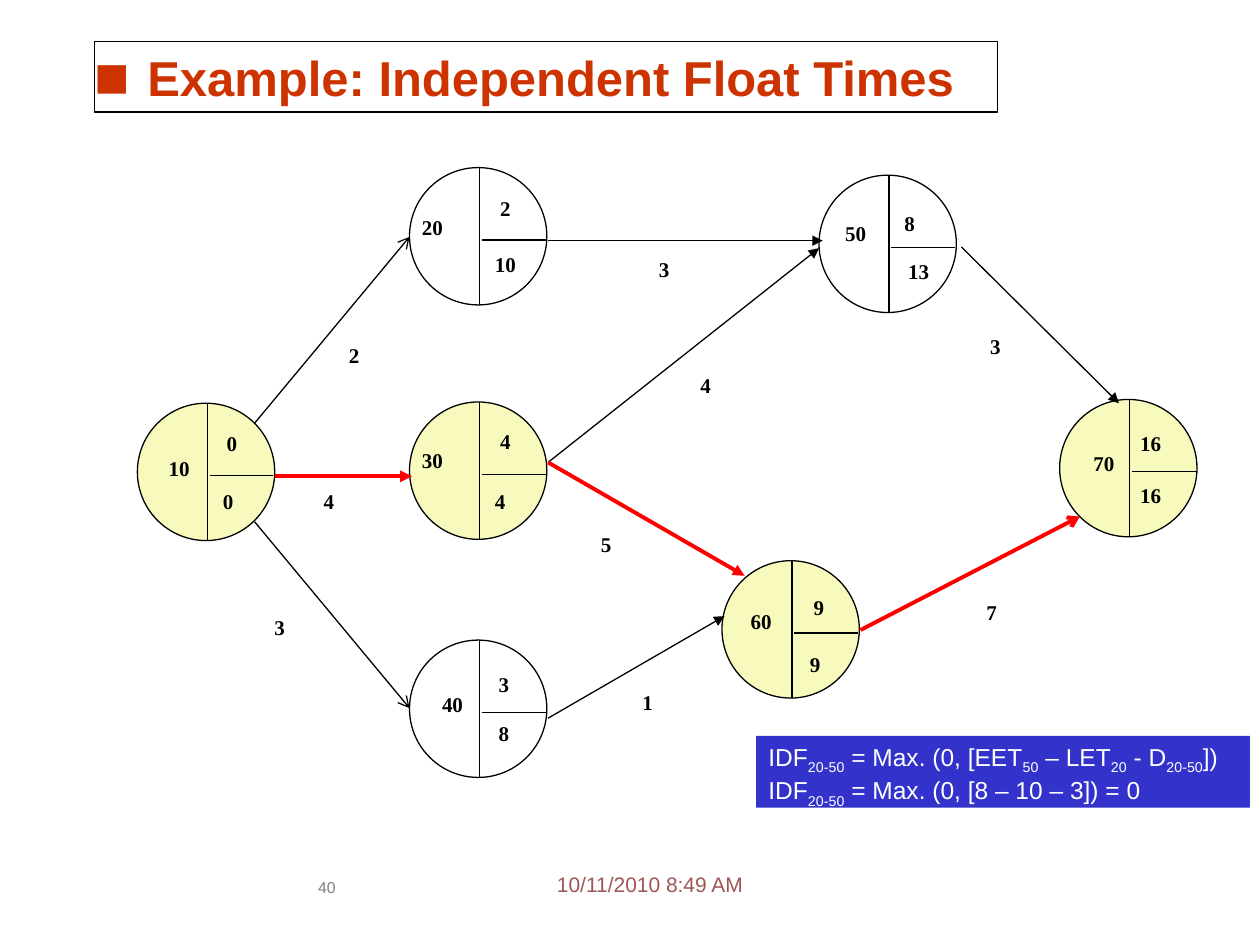
from lxml.etree import SubElement
from pptx import Presentation
from pptx.dml.color import RGBColor
from pptx.enum.shapes import MSO_CONNECTOR, MSO_SHAPE
from pptx.enum.text import MSO_ANCHOR, PP_ALIGN
from pptx.oxml.ns import qn
from pptx.util import Inches, Pt

COLORS = {
    "black": "000000",
    "white": "FFFFFF",
    "critical_fill": "F8F9BD",
    "critical_line": "FF0000",
    "title": "CC3300",
    "formula": "3333CC",
    "date": "9F5555",
    "number": "808080",
}
DIAMETER = 1.09

presentation = Presentation()
presentation.slide_width = Inches(10)
presentation.slide_height = Inches(7.5)
slide = presentation.slides.add_slide(presentation.slide_layouts[6])


def add_box(box, text, size, color, font="Arial", bold=False, fill=None,
            line=None, margins=(0, 0), align=PP_ALIGN.LEFT, kind=MSO_SHAPE.RECTANGLE):
    bounds = [Inches(length) for length in box]
    if fill:
        shape = slide.shapes.add_shape(kind, *bounds)
        shape.shadow.inherit = False
        shape.fill.solid()
        shape.fill.fore_color.rgb = RGBColor.from_string(COLORS[fill])
        if line:
            shape.line.color.rgb = RGBColor.from_string(COLORS[line])
            shape.line.width = Pt(0.75)
        else:
            shape.line.fill.background()
    else:
        shape = slide.shapes.add_textbox(*bounds)
    frame = shape.text_frame
    frame.word_wrap = True
    frame.vertical_anchor = MSO_ANCHOR.TOP
    frame.margin_left = frame.margin_right = Inches(margins[0])
    frame.margin_top = frame.margin_bottom = Inches(margins[1])
    if text:
        paragraph = frame.paragraphs[0]
        paragraph.text = text
        paragraph.alignment = align
        paragraph.font.name = font
        paragraph.font.size = Pt(size)
        paragraph.font.bold = bold
        paragraph.font.color.rgb = RGBColor.from_string(COLORS[color])
    return shape


def add_line(start, end, color="black", width=0.75, head=None):
    connector = slide.shapes.add_connector(
        MSO_CONNECTOR.STRAIGHT, *[Inches(length) for length in (*start, *end)])
    connector.line.color.rgb = RGBColor.from_string(COLORS[color])
    connector.line.width = Pt(width)
    if head:
        SubElement(connector.line._get_or_add_ln(), qn("a:tailEnd"), type=head)
    SubElement(connector._element.spPr, qn("a:effectLst"))


add_box((4.42, 6.92, 1.67, 0.25), "10/11/2010 8:49 AM", 12, "date")
add_box((2.4, 6.97, 0.39, 0.34), "40", 9, "number", align=PP_ALIGN.CENTER)

title = add_box((0.75, 0.33, 7.17, 0.56), None, 28, "title", fill="white", line="black")
title.text_frame.vertical_anchor = MSO_ANCHOR.MIDDLE
paragraph = title.text_frame.paragraphs[0]
paragraph.text = "Example: Independent Float Times"
paragraph.alignment = PP_ALIGN.LEFT
properties = paragraph._p.get_or_add_pPr()
properties.set("marL", str(Inches(0.42)))
properties.set("indent", str(-Inches(0.42)))
bullet_color = SubElement(properties, qn("a:buClr"))
SubElement(bullet_color, qn("a:srgbClr"), val=COLORS["title"])
SubElement(properties, qn("a:buSzPct"), val="120000")
SubElement(properties, qn("a:buFont"), typeface="Arial")
SubElement(properties, qn("a:buChar"), char="■")
paragraph.font.name = "Arial"
paragraph.font.size = Pt(28)
paragraph.font.bold = True
paragraph.font.color.rgb = RGBColor.from_string(COLORS["title"])

formula = add_box((6, 5.84, 3.92, 0.57), None, 14, "white", fill="formula", margins=(0.1, 0.05))
formula_lines = [
    ["IDF", "20-50", " = Max. (0, [EET", "50", " – LET", "20", " - D", "20-50", "])"],
    ["IDF", "20-50", " = Max. (0, [8 – 10 – 3]) = 0"],
]
for index, parts in enumerate(formula_lines):
    frame = formula.text_frame
    paragraph = frame.add_paragraph() if index else frame.paragraphs[0]
    paragraph.alignment = PP_ALIGN.JUSTIFY
    paragraph.font.name = "Arial"
    paragraph.font.size = Pt(14)
    paragraph.font.color.rgb = RGBColor.from_string(COLORS["white"])
    for position, part in enumerate(parts):
        run = paragraph.add_run()
        run.text = part
        if position % 2:
            run._r.get_or_add_rPr().set("baseline", "-25000")

nodes = [
    (3.25, 1.33, "white"),
    (1.09, 3.2, "critical_fill"),
    (3.25, 3.19, "critical_fill"),
    (6.5, 1.39, "white"),
    (3.25, 5.08, "white"),
    (5.73, 4.45, "critical_fill"),
    (8.41, 3.17, "critical_fill"),
]
for left, top, fill in nodes:
    add_box((left, top, DIAMETER, DIAMETER), None, 12, "black", fill=fill, line="black",
            kind=MSO_SHAPE.OVAL)
    middle = left + 0.555
    add_line((middle, top), (middle, top + DIAMETER))
    add_line((middle + 0.02, top + 0.575), (left + 1.08, top + 0.575))

activities = [
    ((2.18, 3.78), (3.27, 3.78), True, "triangle"),
    ((4.35, 5.7), (5.75, 4.89), False, "triangle"),
    ((4.35, 3.67), (6.5, 1.97), False, "triangle"),
    ((4.35, 1.91), (6.53, 1.91), False, "triangle"),
    ((4.35, 3.67), (5.91, 4.57), True, "triangle"),
    ((7.63, 1.96), (8.88, 3.2), False, "triangle"),
    ((6.83, 5), (8.57, 4.1), True, "arrow"),
    ((2.02, 3.36), (3.25, 1.88), False, "arrow"),
    ((2.02, 4.14), (3.25, 5.62), False, "arrow"),
]
for start, end, critical, head in activities:
    add_line(start, end, "critical_line" if critical else "black", 2.25 if critical else 0.75, head)

durations = [
    ("2", 2.67, 2.67, 0.4, 0.31),
    ("3", 2.08, 4.83, 0.35, 0.32),
    ("3", 5.13, 1.99, 0.29, 0.26),
    ("4", 2.47, 3.83, 0.36, 0.31),
    ("3", 7.76, 2.6, 0.41, 0.31),
    ("1", 5, 5.42, 0.33, 0.34),
    ("5", 4.67, 4.17, 0.35, 0.26),
    ("4", 5.46, 2.91, 0.37, 0.34),
    ("7", 7.73, 4.71, 0.35, 0.29),
]
for text, *box in durations:
    add_box(box, text, 12, "black", "Times New Roman", True, "white",
            margins=(0.1, 0.05), align=PP_ALIGN.JUSTIFY)

node_values = [
    ("20", 3.25, 1.65), ("2", 3.87, 1.5), ("10", 3.83, 1.95),
    ("10", 1.24, 3.57), ("0", 1.7, 3.37), ("0", 1.67, 3.83),
    ("30", 3.25, 3.5), ("4", 3.87, 3.35), ("4", 3.83, 3.83),
    ("50", 6.61, 1.7), ("8", 7.08, 1.62), ("13", 7.11, 2),
    ("40", 3.41, 5.44), ("3", 3.86, 5.28), ("8", 3.86, 5.67),
    ("60", 5.86, 4.78), ("9", 6.36, 4.67), ("9", 6.33, 5.12),
    ("70", 8.58, 3.53), ("16", 8.95, 3.37), ("16", 8.95, 3.78),
]
for text, left, top in node_values:
    add_box((left, top, 0.42, 0.33), text, 12, "black", "Times New Roman", True,
            margins=(0.1, 0.05), align=PP_ALIGN.JUSTIFY)

presentation.save("out.pptx")
